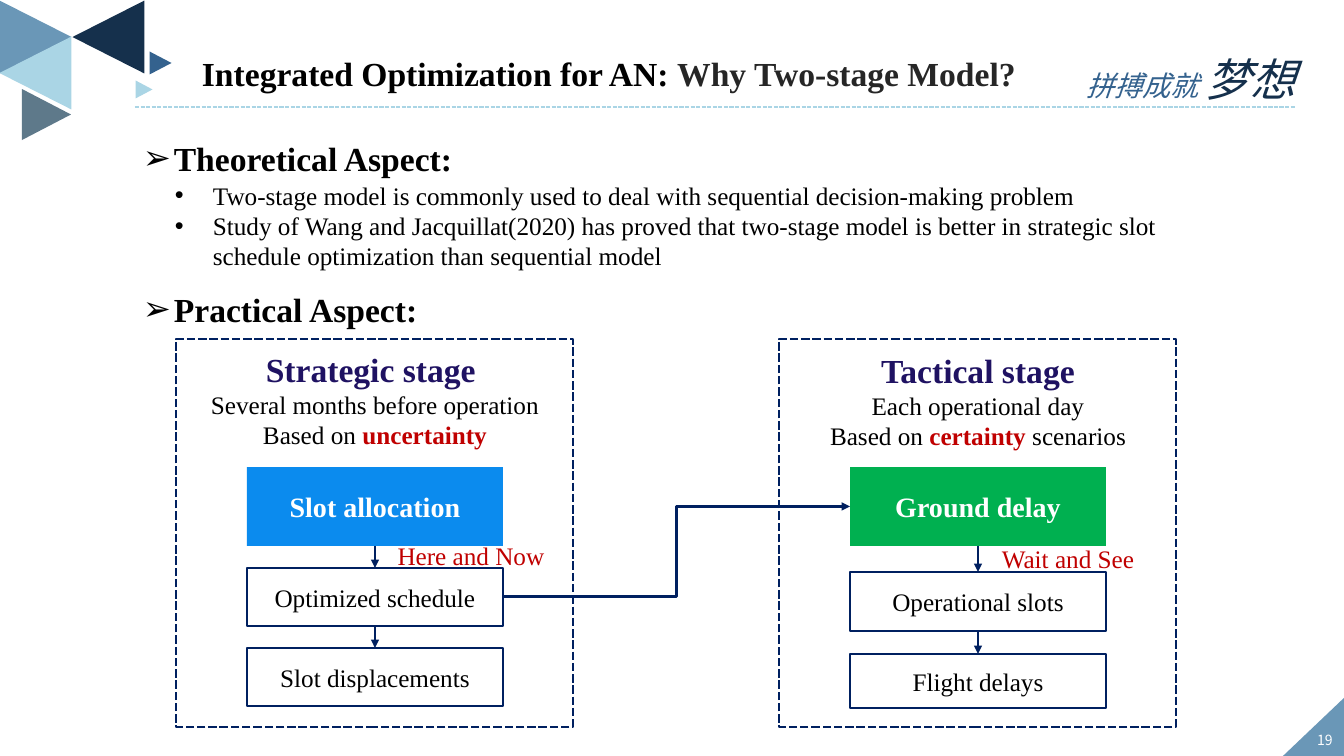
import pptx
import pptx.util
import pptx.dml.color
import pptx.enum.dml
import pptx.enum.shapes
import pptx.enum.text
import pptx.oxml.ns
import lxml.etree

SERIF = "Times New Roman"
SANS = "Noto Sans CJK SC"
NAVY, RED, BLACK, WHITE, PURPLE = "002060", "C00000", "000000", "FFFFFF", "1F1262"
LEFT = pptx.enum.text.PP_ALIGN.LEFT
CENTER = pptx.enum.text.PP_ALIGN.CENTER
SHAPES = pptx.enum.shapes.MSO_SHAPE
CONNECTORS = pptx.enum.shapes.MSO_CONNECTOR
color = pptx.dml.color.RGBColor.from_string
qn = pptx.oxml.ns.qn


def px(*lengths):
    return [round(length * 914400 / 100.8) for length in lengths]


def write(frame, lines, align=CENTER, wrap=True, bullet=None, indent=0, name=SERIF):
    frame.word_wrap = wrap
    for index, (size, runs) in enumerate(lines):
        paragraph = frame.paragraphs[0] if index == 0 else frame.add_paragraph()
        paragraph.alignment = align
        if bullet:
            properties = paragraph._p.get_or_add_pPr()
            hang = px(indent)[0]
            properties.set("marL", str(hang))
            properties.set("indent", str(-hang))
            lxml.etree.SubElement(properties, qn("a:buFont")).set("typeface", "Arial")
            lxml.etree.SubElement(properties, qn("a:buChar")).set("char", bullet)
        paragraph.font.name = name
        paragraph.font.size = pptx.util.Pt(size)
        for text, hue, bold in runs:
            run = paragraph.add_run()
            run.text = text
            font = paragraph.font if len(runs) == 1 else run.font
            font.color.rgb = color(hue)
            font.bold = bold


presentation = pptx.Presentation()
presentation.slide_width, presentation.slide_height = px(1344, 756)
slide = presentation.slides.add_slide(presentation.slide_layouts[6])
shapes = slide.shapes

triangles = [
    (72, 1, 73, 72, 270, "15304C"),
    (-1, 1, 73, 72, 90, "6A97B7"),
    (-1, 37, 73, 72, 270, "AAD5E5"),
    (21, 90, 51, 49, 90, "5E798A"),
    (135, 81, 18, 17, 90, "AAD5E5"),
    (149, 52, 23, 22, 90, "34628E"),
]
for left, top, width, height, rotation, hue in triangles:
    triangle = shapes.add_shape(SHAPES.ISOSCELES_TRIANGLE, *px(left, top, width, height))
    triangle.rotation = rotation
    triangle.shadow.inherit = False
    triangle.fill.solid()
    triangle.fill.fore_color.rgb = color(hue)
    triangle.line.fill.background()

corner = shapes.add_shape(SHAPES.RIGHT_TRIANGLE, *px(1283, 698, 61, 58))
corner.element.spPr.xfrm.set("flipH", "1")
corner.shadow.inherit = False
corner.fill.solid()
corner.fill.fore_color.rgb = color("6A97B7")
corner.line.fill.background()

page_number = shapes.add_textbox(*px(1306, 727, 38, 27)).text_frame
page_number.margin_left = page_number.margin_right = 0
write(page_number, [(10, [("19", WHITE, False)])], name=SANS)

rule = shapes.add_connector(CONNECTORS.STRAIGHT, *px(135, 107, 1295, 107))
rule.line.color.rgb = color("AAD5E5")
rule.line.width = pptx.util.Pt(1)
rule.line.dash_style = pptx.enum.dml.MSO_LINE.SQUARE_DOT
lxml.etree.SubElement(rule.element.spPr, qn("a:effectLst"))

slogan = shapes.add_textbox(*px(1047, 36, 288, 70)).text_frame
write(slogan, [(20, [("拼搏成就 ", "34628E", False), ("梦想", "15304C", False)])], name=SANS)
slogan.paragraphs[0].line_spacing = 1.2
for run, size in zip(slogan.paragraphs[0].runs, (20, 32)):
    run.font.size = pptx.util.Pt(size)
    run.font.italic = True
    run.font.name = SANS
    lxml.etree.SubElement(run.font._element, qn("a:ea")).set("typeface", SANS)

title = shapes.add_textbox(*px(192, 48, 842, 50)).text_frame
write(title, [(24, [("Integrated Optimization for AN: ", BLACK, True),
                    ("Why Two-stage Model?", "262626", True)])], LEFT, wrap=False)

for heading, top in (("Theoretical Aspect:", 133), ("Practical Aspect:", 284)):
    heading_box = shapes.add_textbox(*px(133, top, 354, 50))
    write(heading_box.text_frame, [(24, [(heading, BLACK, True)])], LEFT, bullet="➢", indent=31)

reasons = [
    "Two-stage model is commonly used to deal with sequential decision-making problem",
    "Study of Wang and Jacquillat(2020) has proved that two-stage model is better in "
    "strategic slot schedule optimization than sequential model",
]
reasons_box = shapes.add_textbox(*px(165, 175, 1055, 102))
write(reasons_box.text_frame, [(18, [(reason, BLACK, False)]) for reason in reasons],
      LEFT, bullet="•", indent=38)

stages = [
    (176, "0B8BEE", (194, 344, 362), "Strategic stage ", "Several months before operation",
     [("Based on ", BLACK, False), ("uncertainty", RED, True)],
     [("Slot allocation", 467, 79), ("Optimized schedule", 568, 58), ("Slot displacements", 648, 58)],
     ("Here and Now", 387, 535, 168)),
    (779, "00B050", (818, 345, 320), "Tactical stage", "Each operational day",
     [("Based on ", BLACK, False), ("certainty", RED, True), (" scenarios", BLACK, False)],
     [("Ground delay", 467, 79), ("Operational slots", 572, 59), ("Flight delays", 654, 54)],
     ("Wait and See", 989, 538, 158)),
]
flows = []
columns = []
for left, fill, caption, name, timing, basis, steps, note in stages:
    border = shapes.add_shape(SHAPES.RECTANGLE, *px(left, 339, 397, 388))
    border.shadow.inherit = False
    border.fill.background()
    border.line.color.rgb = color(NAVY)
    border.line.width = pptx.util.Pt(2)
    border.line.dash_style = pptx.enum.dml.MSO_LINE.SQUARE_DOT

    caption_left, caption_top, caption_width = caption
    caption_box = shapes.add_textbox(*px(caption_left, caption_top, caption_width, 112))
    write(caption_box.text_frame, [(24, [(name, PURPLE, True)]),
                                   (18, [(timing, BLACK, False)]), (18, basis)], wrap=False)

    boxes = []
    for label, top, height in steps:
        decision = not boxes
        box = shapes.add_shape(SHAPES.RECTANGLE, *px(left + 71, top, 256, height))
        box.shadow.inherit = False
        if decision:
            box.fill.solid()
            box.fill.fore_color.rgb = color(fill)
            box.line.fill.background()
        else:
            box.fill.background()
            box.line.color.rgb = color(NAVY)
            box.line.width = pptx.util.Pt(2)
        box.text_frame.vertical_anchor = pptx.enum.text.MSO_ANCHOR.MIDDLE
        write(box.text_frame, [(20 if decision else 18,
                                [(label, WHITE if decision else BLACK, decision)])])
        boxes.append(box)
    flows += [(CONNECTORS.STRAIGHT, upper, 2, lower, 0) for upper, lower in zip(boxes, boxes[1:])]
    columns.append(boxes)

    note_text, note_left, note_top, note_width = note
    note_box = shapes.add_textbox(*px(note_left, note_top, note_width, 40))
    write(note_box.text_frame, [(18, [(note_text, RED, False)])], wrap=False)

strategic, tactical = columns
flows.append((CONNECTORS.ELBOW, strategic[1], 3, tactical[0], 1))
for kind, source, source_side, target, target_side in flows:
    arrow = shapes.add_connector(kind, 0, 0, 0, 0)
    arrow.begin_connect(source, source_side)
    arrow.end_connect(target, target_side)
    arrow.line.color.rgb = color(NAVY)
    arrow.line.width = pptx.util.Pt(2)
    lxml.etree.SubElement(arrow.line._get_or_add_ln(), qn("a:tailEnd")).set("type", "triangle")
    lxml.etree.SubElement(arrow.element.spPr, qn("a:effectLst"))

presentation.save("out.pptx")
